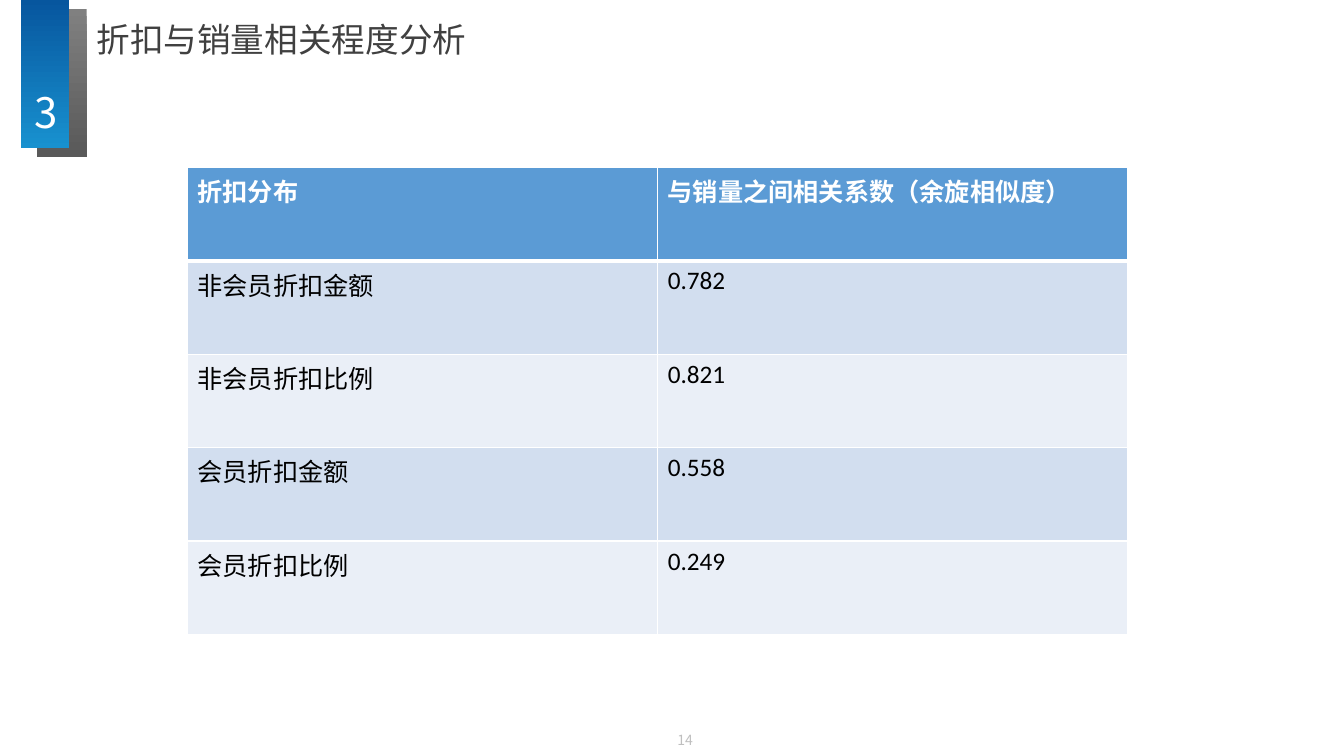
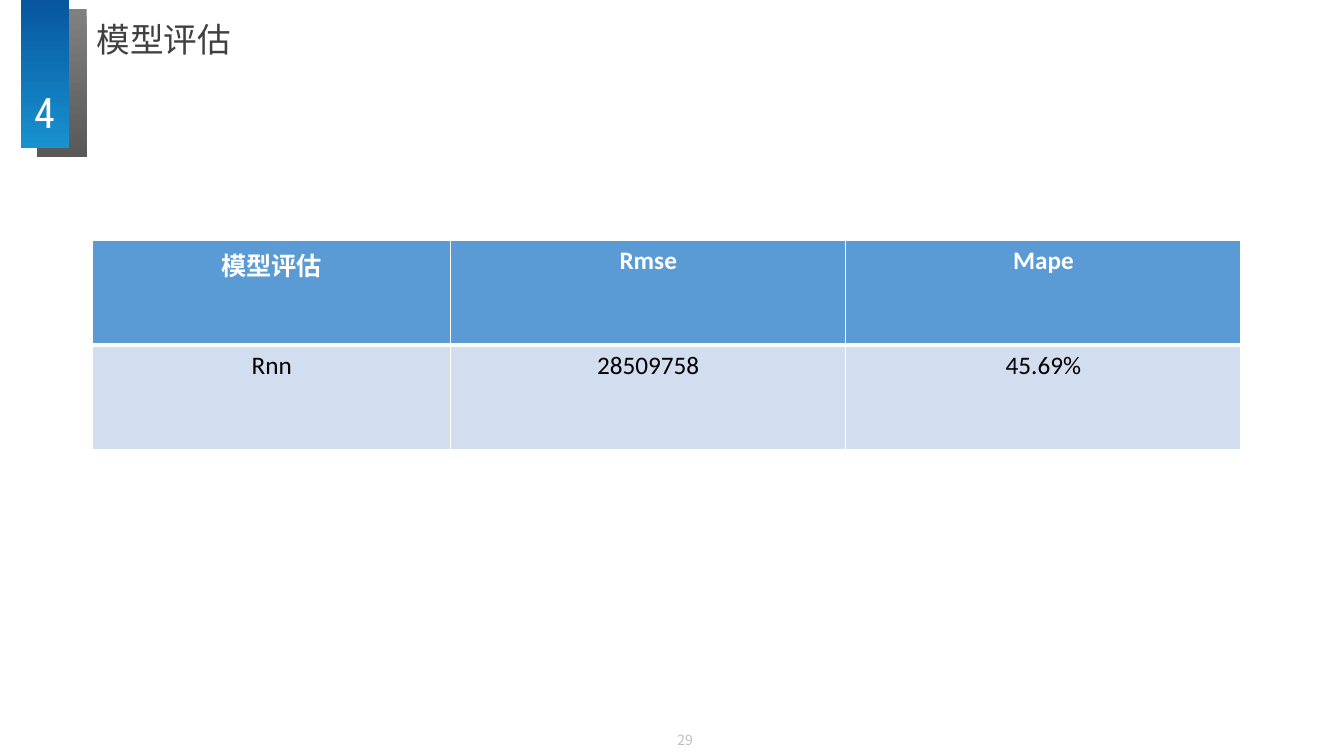
from lxml import etree
from pptx import Presentation
from pptx.dml.color import RGBColor
from pptx.enum.shapes import MSO_SHAPE
from pptx.enum.text import MSO_ANCHOR, PP_ALIGN
from pptx.oxml.ns import qn
from pptx.util import Inches, Pt

RECT = MSO_SHAPE.RECTANGLE
TOP, MID = MSO_ANCHOR.TOP, MSO_ANCHOR.MIDDLE
LEFT, MIDDLE = PP_ALIGN.LEFT, PP_ALIGN.CENTER

# The slide is a grid of 64 columns and 36 rows of square units
WIDE, HIGH = Inches(13.333), Inches(7.5)
UNIT = HIGH / 36

SANS, LATIN, SLIM = "Noto Sans CJK SC", "Calibri", "Roboto Condensed"
HUES = {
    "white": "FFFFFF", "black": "000000", "title": "404040", "page": "BFBFBF",
    "head": "5B9BD5", "odd": "D2DEEF", "even": "EAEFF7",
    "grey top": "808080", "grey end": "595959",
    "blue top": "07569E", "blue end": "1891CF",
}


def span(*units):
    return [round(n * UNIT) for n in units]


def hue(name):
    return RGBColor.from_string(HUES[name])


def write(frame, text, size=18, font=SANS, color="black", bold=False,
          align=LEFT, line=None):
    para = frame.paragraphs[0]
    para.alignment = align
    para.line_spacing = line
    run = para.add_run()
    run.text = text
    run.font.size = Pt(size)
    run.font.name = font
    run.font.bold = bold
    run.font.color.rgb = hue(color)
    # East Asian characters take the sans face
    east = etree.SubElement(run.font._element, qn("a:ea"))
    east.set("typeface", SANS)


def label(slide, text, box, anchor=MID, **style):
    frame = slide.shapes.add_textbox(*span(*box)).text_frame
    frame.word_wrap = True
    frame.vertical_anchor = anchor
    write(frame, text, **style)


def band(slide, box, tone):
    shape = slide.shapes.add_shape(RECT, *span(*box))
    shape.shadow.inherit = False
    shape.line.fill.background()
    shape.fill.gradient()
    shape.fill.gradient_angle = 270
    for stop, end in zip(shape.fill.gradient_stops, ("top", "end")):
        stop.color.rgb = hue(f"{tone} {end}")


def edge(cell, side, width):
    line = etree.SubElement(cell._tc.get_or_add_tcPr(), qn(f"a:ln{side}"))
    line.set("w", str(Pt(width)))
    fill = etree.SubElement(line, qn("a:solidFill"))
    etree.SubElement(fill, qn("a:srgbClr")).set("val", HUES["white"])


def grid(slide, rows, left, top, cols, height, align=LEFT):
    box = span(left, top, sum(cols), height * len(rows))
    table = slide.shapes.add_table(len(rows), len(cols), *box).table
    for col, width in zip(table.columns, span(*cols)):
        col.width = width
    for i, row in enumerate(rows):
        table.rows[i].height = span(height)[0]
        head = i == 0
        tone = "head" if head else "odd" if i % 2 else "even"
        for j, text in enumerate(row):
            cell = table.cell(i, j)
            # Borders come before the fill; the header has a thick base
            for side in "LRTB" if head else "LRB":
                edge(cell, side, 3 if head and side == "B" else 1)
            cell.fill.solid()
            cell.fill.fore_color.rgb = hue(tone)
            write(cell.text_frame, text, font=LATIN, bold=head, align=align,
                  color="white" if head else "black")


def page(deck, title, part, number, width, font=SANS):
    slide = deck.slides.add_slide(deck.slide_layouts[6])
    # Footer
    label(slide, number, (31.78, 34.61, 14.54, 1.3), size=10, color="page")
    # Ribbon
    band(slide, (1.78, 0.43, 2.35, 7.06), "grey")
    band(slide, (1, 0, 2.3, 7.06), "blue")
    # Title and section number
    label(slide, title, (4.13, 0.91, width, 2.16), size=24, color="title",
          line=0.9)
    label(slide, part, (1.15, 4.18, 1.92, 2.45), anchor=TOP, size=30,
          font=font, color="white", align=MIDDLE, line=0.9)
    return slide


def main():
    deck = Presentation()
    deck.slide_width, deck.slide_height = WIDE, HIGH

    # Discount and sales
    slide = page(deck, "折扣与销量相关程度分析", "3", "14", 21.2)
    rows = [
        ("折扣分布", "与销量之间相关系数（余旋相似度）"),
        ("非会员折扣金额", "0.782"),
        ("非会员折扣比例", "0.821"),
        ("会员折扣金额", "0.558"),
        ("会员折扣比例", "0.249"),
    ]
    grid(slide, rows, 8.93, 7.97, [22.39] * 2, 4.45)

    # Model scores
    slide = page(deck, "模型评估", "4", "29", 14.45, font=SLIM)
    rows = [("模型评估", "Rmse", "Mape"), ("Rnn", "28509758", "45.69%")]
    grid(slide, rows, 4.42, 11.47, [17.04, 18.82, 18.82], 4.97, align=MIDDLE)

    deck.save("out.pptx")


if __name__ == "__main__":
    main()
